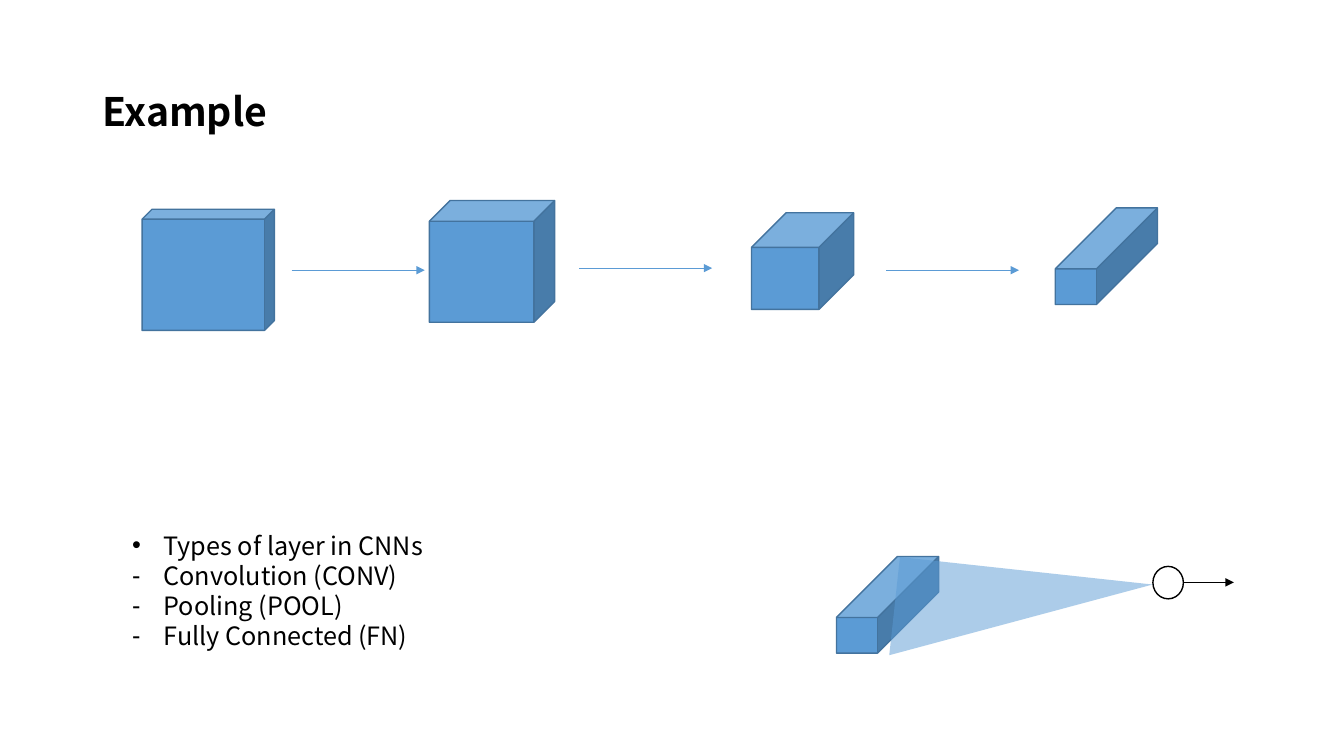
import pptx
import pptx.util
import pptx.dml.color
import pptx.enum.shapes
import pptx.enum.text
import pptx.oxml.ns
from lxml import etree

Pt = pptx.util.Pt
Shape = pptx.enum.shapes.MSO_SHAPE

# Content: places in points
title = "Example"
layers = [
    ("•", "Types of layer in CNNs"),
    ("-", "Convolution (CONV)"),
    ("-", "Pooling (POOL)"),
    ("-", "Fully Connected (FN)"),
]
# left, top, width, height, depth ratio
cubes = [
    (101.5, 149.5, 94.5, 86.5, 0.082),
    (306.7, 143.2, 89.5, 87, 0.171),
    (536.8, 152, 73, 69, 0.358),
    (753.8, 148.5, 73, 69, 0.632),
    (597.5, 397.5, 73, 69, 0.632),
]
# left, y, length, colour
arrows = [
    (208.4, 193, 95, "blue"),
    (413.7, 191.5, 95, "blue"),
    (632.9, 193, 95, "blue"),
    (845.3, 416, 36, "black"),
]
cone = (694, 352, 70.5, 181.5)
neuron = (823.5, 404.6, 21.8, 23.2)

theme = {
    "font": "Noto Sans CJK KR",
    "title": 28,
    "body": 18,
    "blue": "5B9BD5",
    "edge": "43739E",
    "black": "000000",
}


def rgb(name):
    return pptx.dml.color.RGBColor.from_string(theme[name])


def add(parent, tag, **attrs):
    return etree.SubElement(parent, pptx.oxml.ns.qn(tag), attrs)


def draw(kind, box, fill=None, edge=None):
    shape = slide.shapes.add_shape(kind, *map(Pt, box))
    shape.shadow.inherit = False
    if fill:
        shape.fill.solid()
        shape.fill.fore_color.rgb = rgb(fill)
    else:
        shape.fill.background()
    if edge:
        shape.line.color.rgb = rgb(edge)
        shape.line.width = Pt(1)
    else:
        shape.line.fill.background()
    return shape


def arrow(left, y, length, colour):
    line = slide.shapes.add_connector(
        pptx.enum.shapes.MSO_CONNECTOR.STRAIGHT,
        Pt(left), Pt(y), Pt(left + length), Pt(y))
    line.line.color.rgb = rgb(colour)
    line.line.width = Pt(0.5)
    add(line.line._get_or_add_ln(), "a:tailEnd", type="triangle")
    add(line._element.spPr, "a:effectLst")


def style(para, size, bold=False):
    para.font.name = theme["font"]
    para.font.size = Pt(theme[size])
    para.font.bold = bold
    para.font.color.rgb = rgb("black")


deck = pptx.Presentation()
deck.slide_width, deck.slide_height = Pt(960), Pt(540)
slide = deck.slides.add_slide(deck.slide_layouts[6])

# Title
frame = slide.shapes.add_textbox(Pt(66), Pt(28.75), Pt(828), Pt(104.4)).text_frame
frame.word_wrap = True
frame.vertical_anchor = pptx.enum.text.MSO_ANCHOR.MIDDLE
head = frame.paragraphs[0]
head.text = title
head.line_spacing = 0.9
style(head, "title", bold=True)

# Volumes and the flow between them
for *box, depth in cubes:
    draw(Shape.CUBE, box, "blue", "edge").adjustments[0] = depth
for item in arrows:
    arrow(*item)

# Half-clear cone from the last volume to one neuron
beam = draw(Shape.ISOSCELES_TRIANGLE, cone, "blue")
beam.adjustments[0] = 0
beam.rotation = 96.2
tint = beam._element.spPr.find(".//" + pptx.oxml.ns.qn("a:srgbClr"))
add(tint, "a:alpha", val="50000")
draw(Shape.OVAL, neuron, edge="black")

# Layer list
frame = slide.shapes.add_textbox(Pt(87.3), Pt(375), Pt(411), Pt(94.5)).text_frame
frame.word_wrap = True
for i, (mark, text) in enumerate(layers):
    para = frame.add_paragraph() if i else frame.paragraphs[0]
    para.text = text
    props = para._p.get_or_add_pPr()
    props.set("marL", str(Pt(22.5)))
    props.set("indent", str(-Pt(22.5)))
    add(props, "a:buFont", typeface="Arial")
    add(props, "a:buChar", char=mark)
    style(para, "body")

deck.save("out.pptx")
